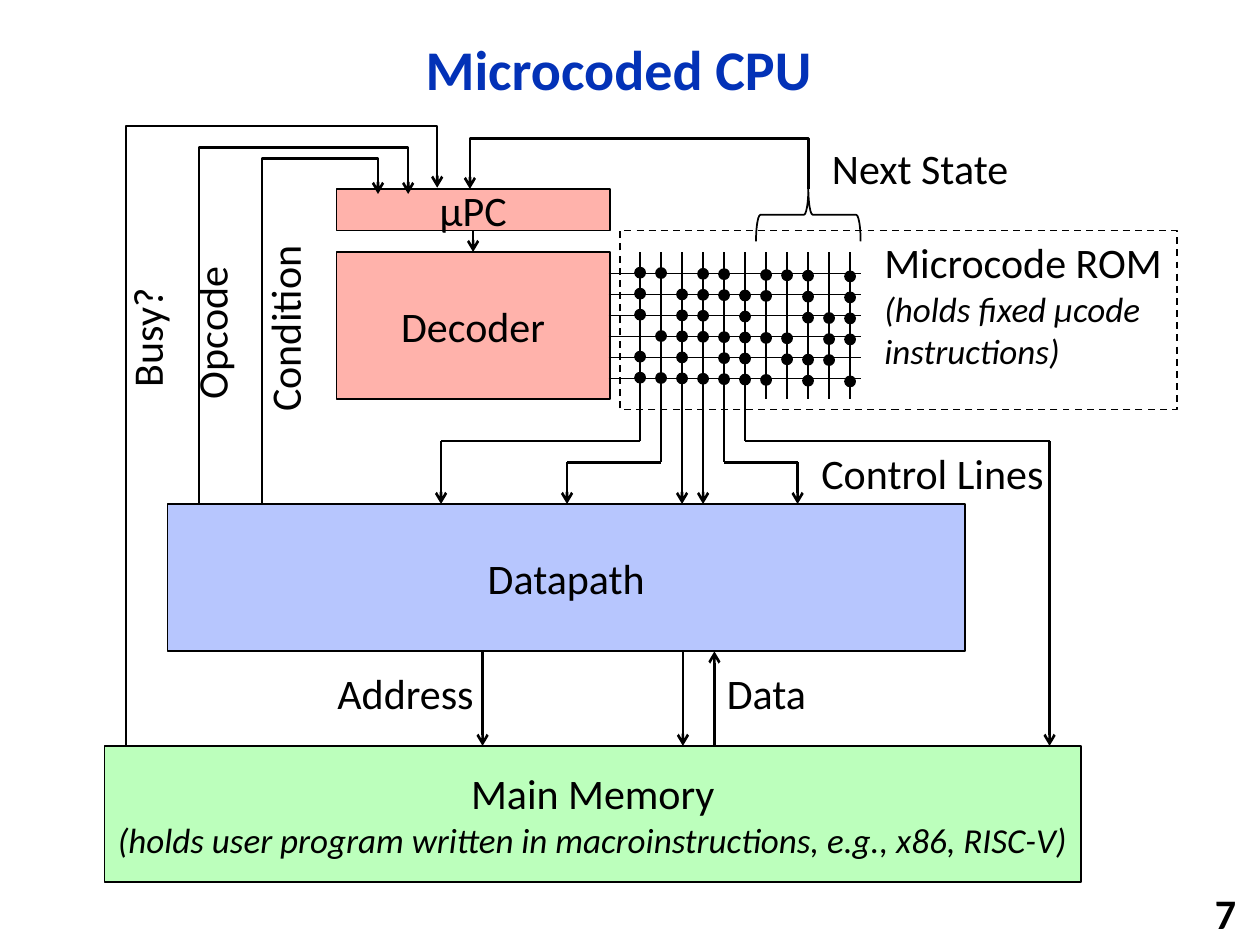
import collections

import pptx
import pptx.dml.color
import pptx.enum.dml
import pptx.enum.shapes
import pptx.enum.text
import pptx.oxml
import pptx.oxml.ns
import pptx.util

Box = collections.namedtuple("Box", "left top width height")
Inches = pptx.util.Inches
Align = pptx.enum.text.PP_ALIGN
Anchor = pptx.enum.text.MSO_ANCHOR
Preset = pptx.enum.shapes.MSO_SHAPE

PITCH = 1 / 6
BLACK = "000000"
RED = "FFB2AB"
ROM_DOTS = [
    "11011011101",
    "10111110101",
    "10110100111",
    "01111111011",
    "10101101110",
    "11111110101",
]


def color(value):
    return pptx.dml.color.RGBColor.from_string(value)


def lengths(box):
    return [Inches(value) for value in box]


def write_text(frame, text, size=24, bold=False, italic=False, fill=BLACK,
               align=Align.LEFT, spacing=None, append=False):
    para = frame.add_paragraph() if append else frame.paragraphs[0]
    para.alignment = align
    para.line_spacing = spacing
    span = para.add_run()
    span.text = text
    span.font.name = "Calibri"
    span.font.size = pptx.util.Pt(size)
    span.font.bold = bold
    span.font.italic = italic
    span.font.color.rgb = color(fill)


def add_label(page, box, text, rotation=0, wrap=False, **style):
    label = page.shapes.add_textbox(*lengths(box))
    label.rotation = rotation
    label.text_frame.word_wrap = wrap
    write_text(label.text_frame, text, **style)
    return label


def add_block(page, preset, box, fill=None, width=1):
    block = page.shapes.add_shape(preset, *lengths(box))
    block.shadow.inherit = False
    if fill:
        block.fill.solid()
        block.fill.fore_color.rgb = color(fill)
    else:
        block.fill.background()
    block.line.color.rgb = color(BLACK)
    block.line.width = pptx.util.Pt(width)
    return block


def add_unit(page, box, fill, text):
    unit = add_block(page, Preset.RECTANGLE, box, fill)
    unit.text_frame.word_wrap = True
    unit.text_frame.vertical_anchor = Anchor.MIDDLE
    write_text(unit.text_frame, text, align=Align.CENTER)
    return unit


def add_arrowhead(shape):
    shape.element.spPr.get_or_add_ln().append(pptx.oxml.parse_xml(
        f'<a:tailEnd {pptx.oxml.ns.nsdecls("a")} type="arrow"/>'))


def add_wire(page, start, end, width=1.5, arrow=False):
    wire = page.shapes.add_connector(
        pptx.enum.shapes.MSO_CONNECTOR.STRAIGHT, *lengths(start + end))
    wire.line.color.rgb = color(BLACK)
    wire.line.width = pptx.util.Pt(width)
    if arrow:
        add_arrowhead(wire)
    wire.element.spPr.append(pptx.oxml.parse_xml(
        f'<a:effectLst {pptx.oxml.ns.nsdecls("a")}/>'))


def add_bent_arrow(page, points):
    start, *rest = [tuple(lengths(point)) for point in points]
    builder = page.shapes.build_freeform(*start)
    builder.add_line_segments(rest, close=False)
    route = builder.convert_to_shape()
    route.shadow.inherit = False
    route.fill.background()
    route.line.color.rgb = color(BLACK)
    route.line.width = pptx.util.Pt(1.5)
    add_arrowhead(route)


def build_heading(page, box):
    title = page.shapes.title
    title.left, title.top, title.width, title.height = lengths(box)
    title.text_frame.vertical_anchor = Anchor.MIDDLE
    write_text(title.text_frame, "Microcoded CPU", size=32, bold=True,
               fill="0332B7", align=Align.CENTER, spacing=0.9)


def build_page_number(page, box):
    number = add_label(page, box, "7", bold=True, align=Align.RIGHT)
    number.text_frame.vertical_anchor = Anchor.MIDDLE


def build_sequencer(page, box):
    left, top, width, height = box
    add_unit(page, Box(left, top, width, 0.33), RED, "µPC")
    add_unit(page, Box(left, top + 0.5, width, height - 0.5), RED, "Decoder")
    middle = left + width / 2
    add_wire(page, (middle, top + 0.33), (middle, top + 0.5), arrow=True)


def build_rom(page, box, row_start):
    left, top, width, height = box
    frame = add_block(page, Preset.RECTANGLE, box)
    frame.line.dash_style = pptx.enum.dml.MSO_LINE.DASH
    first_column, first_row = left + 0.16, top + 0.34
    for row, dots in enumerate(ROM_DOTS):
        y = first_row + row * PITCH
        add_wire(page, (row_start, y), (left + 1.91, y), width=0.75)
        for column, dot in enumerate(dots):
            if dot == "1":
                x = first_column + column * PITCH
                shift = 0.003 * (column - 2)
                add_block(page, Preset.OVAL,
                          Box(x - 0.04, y - 0.04 + shift, 0.08, 0.08), BLACK)
    for column in range(6, 11):
        x = first_column + column * PITCH
        add_wire(page, (x, top + 0.17), (x, top + 1.34), width=0.75)
    label = add_label(page, Box(left + 2, top, width - 2, 1.18),
                      "Microcode ROM", wrap=True)
    write_text(label.text_frame, "(holds fixed µcode instructions)",
               size=20, italic=True, append=True)


def build_next_state(page, box, target):
    left, top, width, height = box
    middle = left + width / 2
    brace = add_block(page, Preset.LEFT_BRACE,
                      Box(middle - 0.21, top + 0.19, 0.42, width))
    brace.rotation = 90
    add_bent_arrow(page, [(middle, top + 0.4), (middle, top),
                          (target, top), (target, top + 0.4)])
    add_label(page, Box(middle + 0.09, top - 0.02, 1.63, 0.5), "Next State")


def build_control_lines(page, box, memory_top):
    left, top, width, height = box
    bottom = top + height
    routes = [(3.5, 3.5, bottom), (4.5, 3.67, bottom), None, None,
              (6.33, 3.67, bottom), (8.33, 3.5, memory_top)]
    for column, route in enumerate(routes):
        x = left + column * PITCH
        if route is None:
            add_wire(page, (x, top), (x, bottom), arrow=True)
        else:
            target, turn, end = route
            add_wire(page, (x, top), (x, turn))
            add_wire(page, (x, turn), (target, turn))
            add_wire(page, (target, turn), (target, end), arrow=True)
    add_label(page, Box(left + 1.34, top + 1.5, 1.99, 0.5), "Control Lines")


def build_memory_bus(page, box):
    left, top, width, height = box
    bottom = top + height
    for x in (left, left + 1.59):
        add_wire(page, (x, top), (x, bottom), arrow=True)
    add_wire(page, (left + width, bottom), (left + width, top), arrow=True)
    add_label(page, Box(left - 1.25, top + 0.08, 1.3, 0.5), "Address")
    add_label(page, Box(left + width, top + 0.08, 0.84, 0.5), "Data")


def build_feedback(page, box, text, label_box, tip=1.54):
    left, top, width, height = box
    add_bent_arrow(page, [(left, top + height), (left, top),
                          (left + width, top), (left + width, tip)])
    add_label(page, label_box, text, rotation=270)


def build_main_memory(page, box):
    memory = add_unit(page, box, "BCFFBC", "Main Memory")
    write_text(memory.text_frame,
               "(holds user program written in macroinstructions, e.g., x86, RISC-V)",
               size=20, italic=True, align=Align.CENTER, append=True)


def main():
    deck = pptx.Presentation()
    deck.slide_width, deck.slide_height = Inches(10), Inches(7.5)
    page = deck.slides.add_slide(deck.slide_layouts[5])
    build_heading(page, Box(0.92, 0.17, 7.98, 0.81))
    build_page_number(page, Box(7.83, 7.08, 2.08, 0.32))
    add_unit(page, Box(1.33, 4, 6.33, 1.17), "B7C6FE", "Datapath")
    build_main_memory(page, Box(0.83, 5.92, 7.75, 1.08))
    build_memory_bus(page, Box(3.83, 5.17, 1.84, 0.75))
    build_sequencer(page, Box(2.67, 1.5, 2.17, 1.67))
    build_control_lines(page, Box(5.08, 2, 0.83, 2), memory_top=5.92)
    build_rom(page, Box(4.92, 1.83, 4.42, 1.42), row_start=4.83)
    build_next_state(page, Box(6, 1.1, 0.83, 0.82), target=3.73)
    build_feedback(page, Box(1.58, 1.17, 1.66, 2.83), "Opcode",
                   Box(1.04, 2.38, 1.27, 0.5))
    build_feedback(page, Box(2.08, 1.26, 0.92, 2.74), "Condition",
                   Box(1.49, 2.35, 1.53, 0.5))
    build_feedback(page, Box(1, 1, 2.47, 4.92), "Busy?",
                   Box(0.66, 2.42, 1, 0.5), tip=1.49)
    deck.save("out.pptx")


if __name__ == "__main__":
    main()
